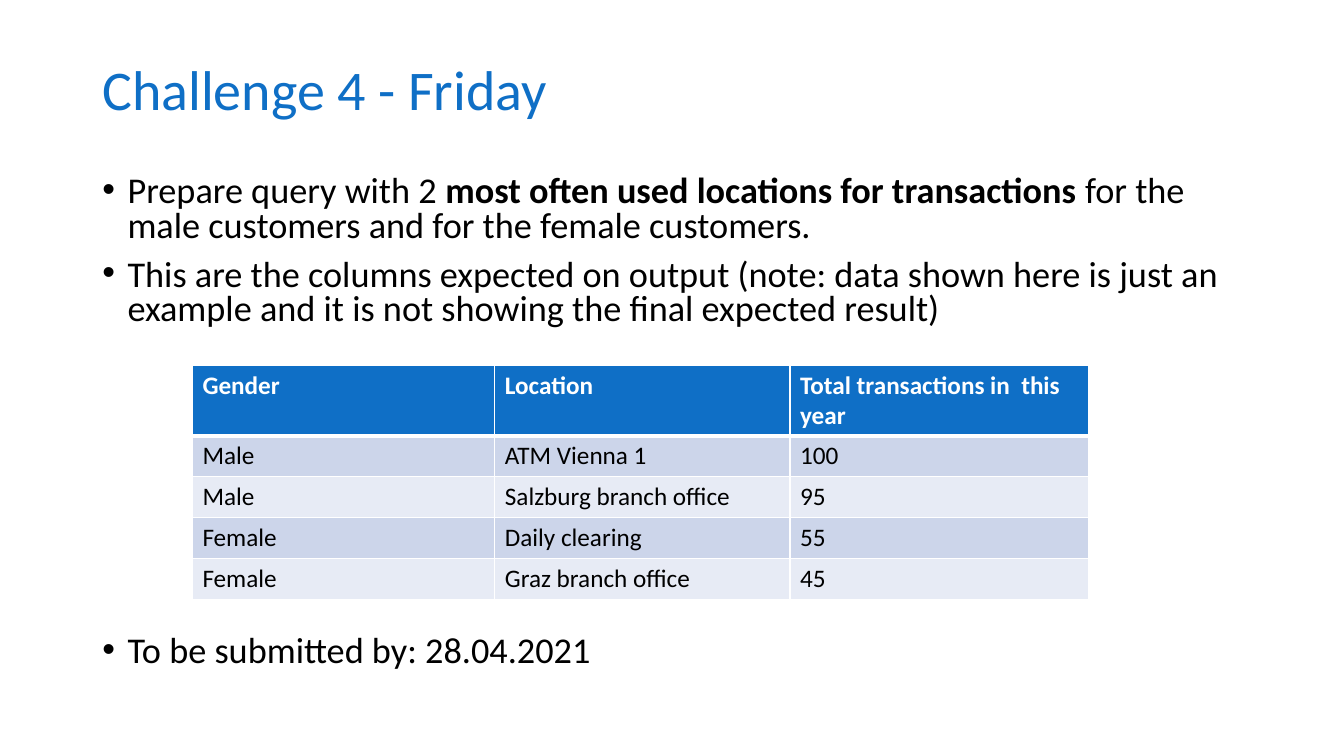
from lxml import etree
from pptx import Presentation
from pptx.dml.color import RGBColor
from pptx.enum.text import MSO_ANCHOR
from pptx.oxml.ns import qn
from pptx.util import Cm, Pt

MIDDLE, TOP = MSO_ANCHOR.MIDDLE, MSO_ANCHOR.TOP
BLUE, BLACK, WHITE = "0F6FC6", "000000", "FFFFFF"
BANDS = ("CCD5EA", "E7EBF5")


def color(code):
    return RGBColor.from_string(code)


class Page:
    """Holds the font and the slide being built."""

    def __init__(self, slide, font):
        self.slide = slide
        self.font = font

    def run(self, para, text, code, **style):
        font = para.add_run().font
        para.runs[-1].text = text
        font.color.rgb = color(code)
        for key, value in {"name": self.font, **style}.items():
            setattr(font, key, value)

    def box(self, left, top, width, height, anchor):
        shape = self.slide.shapes.add_textbox(Cm(left), Cm(top), Cm(width), Cm(height))
        frame = shape.text_frame
        frame.word_wrap = True
        frame.vertical_anchor = anchor
        return frame

    def title(self, text, *place):
        para = self.box(*place, MIDDLE).paragraphs[0]
        para.line_spacing = 0.9
        self.run(para, text, BLUE, size=Pt(40))

    def bullets(self, items, *place):
        """Each item is the space before it and a list of (text, bold) parts."""
        frame = self.box(*place, TOP)
        for i, (gap, parts) in enumerate(items):
            para = frame.add_paragraph() if i else frame.paragraphs[0]
            para.line_spacing = 0.8
            para.space_before = Pt(gap)
            props = para._p.get_or_add_pPr()
            indent = Cm(0.635)
            props.set("marL", str(indent))
            props.set("indent", str(-indent))
            etree.SubElement(props, qn("a:buFont"), typeface="Arial")
            etree.SubElement(props, qn("a:buChar"), char="•")
            for text, bold in parts:
                self.run(para, text, BLACK, size=Pt(25.9), bold=bold)

    def border(self, cell, **widths):
        props = cell._tc.get_or_add_tcPr()
        for i, side in enumerate("LRTB"):
            line = etree.Element(qn("a:ln" + side), w=str(Pt(widths.get(side, 1))))
            fill = etree.SubElement(line, qn("a:solidFill"))
            etree.SubElement(fill, qn("a:srgbClr"), val=WHITE)
            props.insert(i, line)

    def table(self, rows, widths, heights, left, top):
        grid = self.slide.shapes.add_table(
            len(rows), len(widths), Cm(left), Cm(top), Cm(sum(widths)), Cm(sum(heights))
        ).table
        for col, width in zip(grid.columns, widths):
            col.width = Cm(width)
        for r, (row, height) in enumerate(zip(rows, heights)):
            grid.rows[r].height = Cm(height)
            head = r == 0
            for c, text in enumerate(row):
                cell = grid.cell(r, c)
                cell.fill.solid()
                cell.fill.fore_color.rgb = color(BLUE if head else BANDS[(r - 1) % 2])
                self.border(cell, B=3 if head else 1, T=3 if r == 1 else 1)
                para = cell.text_frame.paragraphs[0]
                self.run(para, text, WHITE if head else BLACK, size=Pt(18), bold=head)


def main():
    deck = Presentation()
    deck.slide_width, deck.slide_height = Cm(33.87), Cm(19.05)
    page = Page(deck.slides.add_slide(deck.slide_layouts[6]), "Calibri")

    page.title("Challenge 4 - Friday", 2.33, 1.01, 29.21, 2.65)
    # The last bullet's gap leaves room for the table.
    tasks = [
        (10, [("Prepare query with 2 ", False),
              ("most often used locations for transactions ", True),
              ("for the male customers and for the female customers.", False)]),
        (10, [("This are the columns expected on output (note: data shown here is "
               "just an example and it is not showing the final expected result)", False)]),
        (219, [("To be submitted by: 28.04.2021", False)]),
    ]
    page.bullets(tasks, 2.33, 4.3, 29.21, 12.85)

    rows = [
        ("Gender", "Location", "Total transactions in  this year"),
        ("Male", "ATM Vienna 1", "100"),
        ("Male", "Salzburg branch office", "95"),
        ("Female", "Daily clearing", "55"),
        ("Female", "Graz branch office", "45"),
    ]
    page.table(rows, (7.62, 7.44, 7.52), [1.78] + [1.03] * 4, 4.85, 9.2)
    deck.save("out.pptx")


if __name__ == "__main__":
    main()
